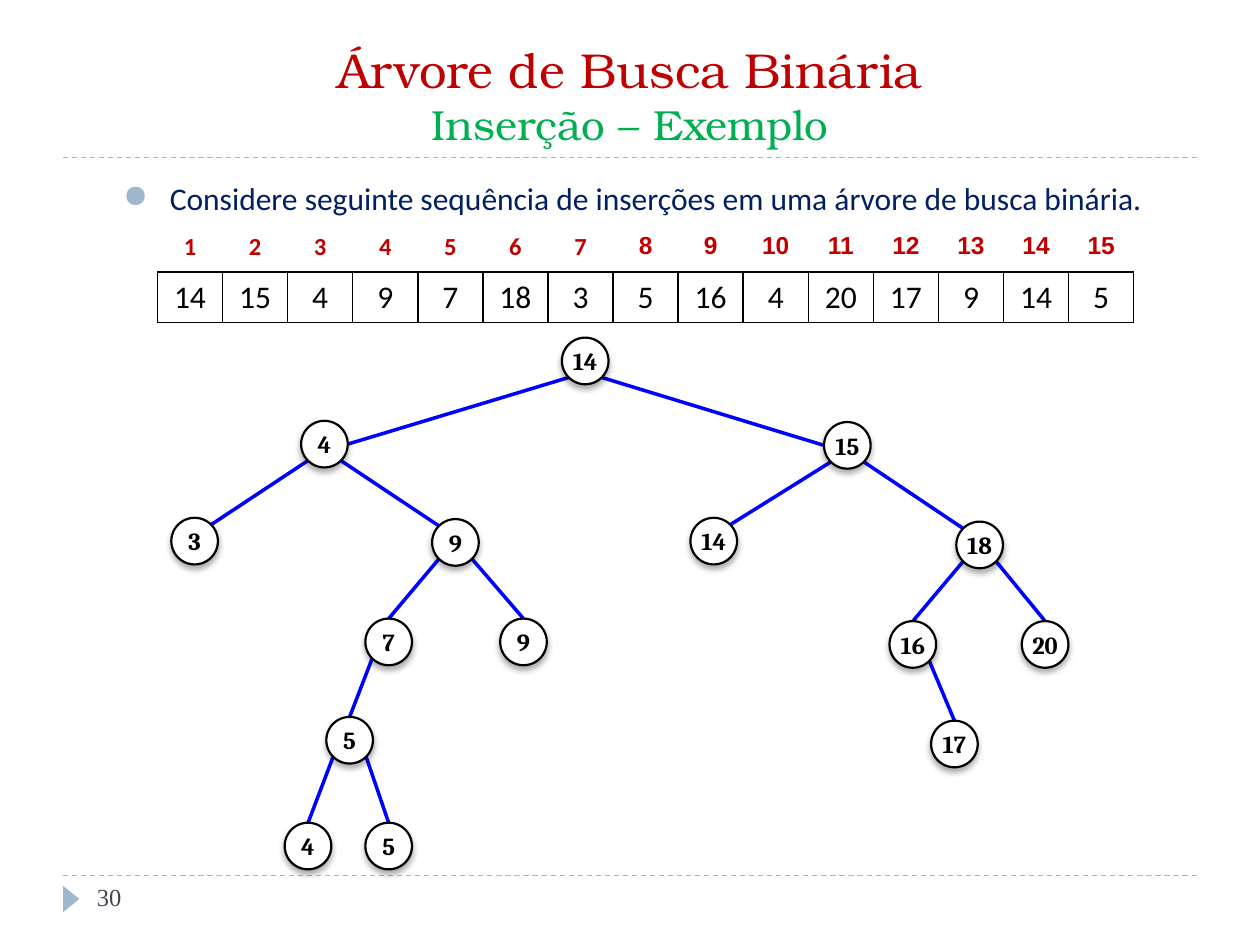
from math import cos, radians, sin

from lxml import etree
from pptx import Presentation
from pptx.dml.color import RGBColor
from pptx.enum.dml import MSO_LINE
from pptx.enum.shapes import MSO_CONNECTOR, MSO_SHAPE
from pptx.enum.text import MSO_ANCHOR as Anchor, PP_ALIGN as Align
from pptx.oxml.ns import qn
from pptx.util import Inches, Pt

RED, GREEN, NAVY, BLUE = "C00000", "00B050", "002060", "0000FF"
BLACK, WHITE, ACCENT, SLATE = "000000", "FFFFFF", "9FB8CD", "464653"

SEQUENCE = [14, 15, 4, 9, 7, 18, 3, 5, 16, 4, 20, 17, 9, 14, 5]
NODE_SIZE = 0.37
# Tree nodes: key, index of the parent, left and top inside the tree box
NODES = [
    (14, None, 3.10, 0), (4, 0, 1.03, 0.66), (15, 0, 5.18, 0.67),
    (3, 1, 0, 1.43), (9, 1, 2.07, 1.44), (14, 2, 4.12, 1.43), (18, 2, 6.23, 1.46),
    (7, 4, 1.54, 2.23), (9, 4, 2.61, 2.23), (16, 6, 5.70, 2.25), (20, 6, 6.75, 2.25),
    (5, 7, 1.23, 3.01), (17, 9, 6.03, 3.04), (4, 11, 0.90, 3.85), (5, 11, 1.54, 3.85),
]


def color(value):
    return RGBColor.from_string(value)


def add_xml(parent, tag, **attributes):
    return etree.SubElement(parent, qn(tag), {k: str(v) for k, v in attributes.items()})


def style_run(run, size, font, hue, bold=False):
    run.font.size = Pt(size)
    run.font.name = font
    run.font.bold = bold
    run.font.color.rgb = color(hue)


def add_line(shapes, start, end, hue, width):
    line = shapes.add_connector(MSO_CONNECTOR.STRAIGHT, *map(Inches, start + end))
    line.line.color.rgb = color(hue)
    line.line.width = Pt(width)
    add_xml(line._element.spPr, "a:effectLst")
    return line


def add_text(slide, box, text, align, anchor=Anchor.TOP):
    frame = slide.shapes.add_textbox(*map(Inches, box)).text_frame
    frame.word_wrap = True
    frame.vertical_anchor = anchor
    paragraph = frame.paragraphs[0]
    paragraph.text = text
    paragraph.alignment = align
    return paragraph


def add_rule(slide, left, top, width):
    rule = add_line(slide.shapes, (left, top), (left + width, top), ACCENT, 0.75)
    rule.line.dash_style = MSO_LINE.DASH


def add_title(slide, left, top, width, height):
    paragraph = add_text(slide, (left, top, width, height),
                         "Árvore de Busca Binária\vInserção – Exemplo",
                         Align.CENTER, Anchor.MIDDLE)
    for run, size, hue in zip(paragraph.runs, (28, 24), (RED, GREEN)):
        style_run(run, size, "TeX Gyre Bonum", hue)
    add_rule(slide, left, top + height, width)


def add_footer(slide, left, top, width):
    add_rule(slide, left, top, width)
    marker = slide.shapes.add_shape(MSO_SHAPE.ISOSCELES_TRIANGLE, Inches(left - 0.04),
                                    Inches(top + 0.12), Inches(0.21), Inches(0.13))
    marker.rotation = 90
    marker.shadow.inherit = False
    marker.fill.solid()
    marker.fill.fore_color.rgb = color(ACCENT)
    marker.line.fill.background()
    number = add_text(slide, (left + 0.17, top, 2.17, 0.4), "30", Align.LEFT)
    style_run(number.runs[0], 14, "Times New Roman", SLATE)


def add_bullet(slide, left, top, width, height):
    paragraph = add_text(
        slide, (left, top, width, height),
        "Considere seguinte sequência de inserções em uma árvore de busca binária.",
        Align.JUSTIFY)
    style_run(paragraph.runs[0], 18, "Calibri", NAVY)
    properties = paragraph._p.get_or_add_pPr()
    properties.set("marL", str(Inches(0.37)))
    properties.set("indent", str(-Inches(0.37)))
    add_xml(add_xml(properties, "a:buClr"), "a:srgbClr", val=ACCENT)
    add_xml(properties, "a:buChar", char="●")


def add_borders(cell, sides):
    properties = cell._tc.get_or_add_tcPr()
    for side in sides:
        border = add_xml(properties, f"a:ln{side}", w=Pt(1))
        add_xml(add_xml(border, "a:solidFill"), "a:srgbClr", val=BLACK)


def add_sequence_table(slide, left, top, width, index_width=0.42):
    heights = (0.37, 0.4)
    frame = slide.shapes.add_table(2, len(SEQUENCE) + 1, Inches(left), Inches(top),
                                   Inches(width), Inches(sum(heights)))
    table = frame.table
    table.first_row = table.horz_banding = False
    for row, height in zip(table.rows, heights):
        row.height = Inches(height)
    for index, column in enumerate(table.columns):
        cell_width = (width - index_width) / len(SEQUENCE) if index else index_width
        column.width = Inches(cell_width)

    # Positions above, inserted keys below; the first column stays empty
    for index, key in enumerate(SEQUENCE, 1):
        position, value = table.cell(0, index), table.cell(1, index)
        position.text, value.text = str(index), str(key)
        add_borders(position, "B")
        add_borders(value, "LRTB")
        value.vertical_anchor = Anchor.MIDDLE
        for cell in (position, value):
            cell.text_frame.paragraphs[0].alignment = Align.CENTER
        style_run(position.text_frame.paragraphs[0].runs[0], 14,
                  "Calibri" if index < 8 else "Arial", RED, True)
        style_run(value.text_frame.paragraphs[0].runs[0], 18, "Calibri", BLACK)
    for row in range(2):
        empty = table.cell(row, 0)
        empty.margin_top = empty.margin_bottom = 0
        for cell in table.rows[row].cells:
            cell.fill.background()


def add_node(shapes, key, left, top):
    node = shapes.add_shape(MSO_SHAPE.OVAL, Inches(left), Inches(top),
                            Inches(NODE_SIZE), Inches(NODE_SIZE))
    node.fill.solid()
    node.fill.fore_color.rgb = color(WHITE)
    node.line.color.rgb = color(BLACK)
    node.line.width = Pt(1.25)
    # Soft shadow below the node
    shadow = add_xml(add_xml(node._element.spPr, "a:effectLst"), "a:outerShdw",
                     blurRad=Pt(3.5), dist=Pt(2.2), dir=5400000, rotWithShape=0)
    add_xml(add_xml(shadow, "a:srgbClr", val=BLACK), "a:alpha", val=32000)
    frame = node.text_frame
    frame.margin_left = frame.margin_right = frame.margin_top = frame.margin_bottom = 0
    frame.word_wrap = False
    frame.vertical_anchor = Anchor.MIDDLE
    frame.text = str(key)
    frame.paragraphs[0].alignment = Align.CENTER
    style_run(frame.paragraphs[0].runs[0], 14, "Cambria", BLACK, True)


def add_tree(slide, left, top):
    shapes = slide.shapes.add_group_shape().shapes
    radius = NODE_SIZE / 2
    centers = [(left + x + radius, top + y + radius) for _, _, x, y in NODES]
    levels = []
    diagonal = radius * cos(radians(45))

    # Edges leave the parent diagonally and enter higher on the child at each level
    for (_, parent, _, _), (x, y) in zip(NODES, centers):
        levels.append(0 if parent is None else levels[parent] + 1)
        if parent is None:
            continue
        parent_x, parent_y = centers[parent]
        side = 1 if parent_x > x else -1
        angle = radians(min(45 * (levels[-1] - 1), 90))
        add_line(shapes,
                 (x + side * radius * cos(angle), y - radius * sin(angle)),
                 (parent_x - side * diagonal, parent_y + diagonal), BLUE, 2)

    for key, _, x, y in NODES:
        add_node(shapes, key, left + x, top + y)


def main():
    presentation = Presentation()
    presentation.slide_width, presentation.slide_height = Inches(10), Inches(7.5)
    slide = presentation.slides.add_slide(presentation.slide_layouts[6])
    add_title(slide, 0.5, 0.25, 9, 1)
    add_footer(slide, 0.5, 6.95, 9)
    add_bullet(slide, 0.88, 1.37, 8.5, 0.45)
    add_tree(slide, 1.36, 2.68)
    add_sequence_table(slide, 0.83, 1.79, 8.17)
    presentation.save("out.pptx")


if __name__ == "__main__":
    main()
